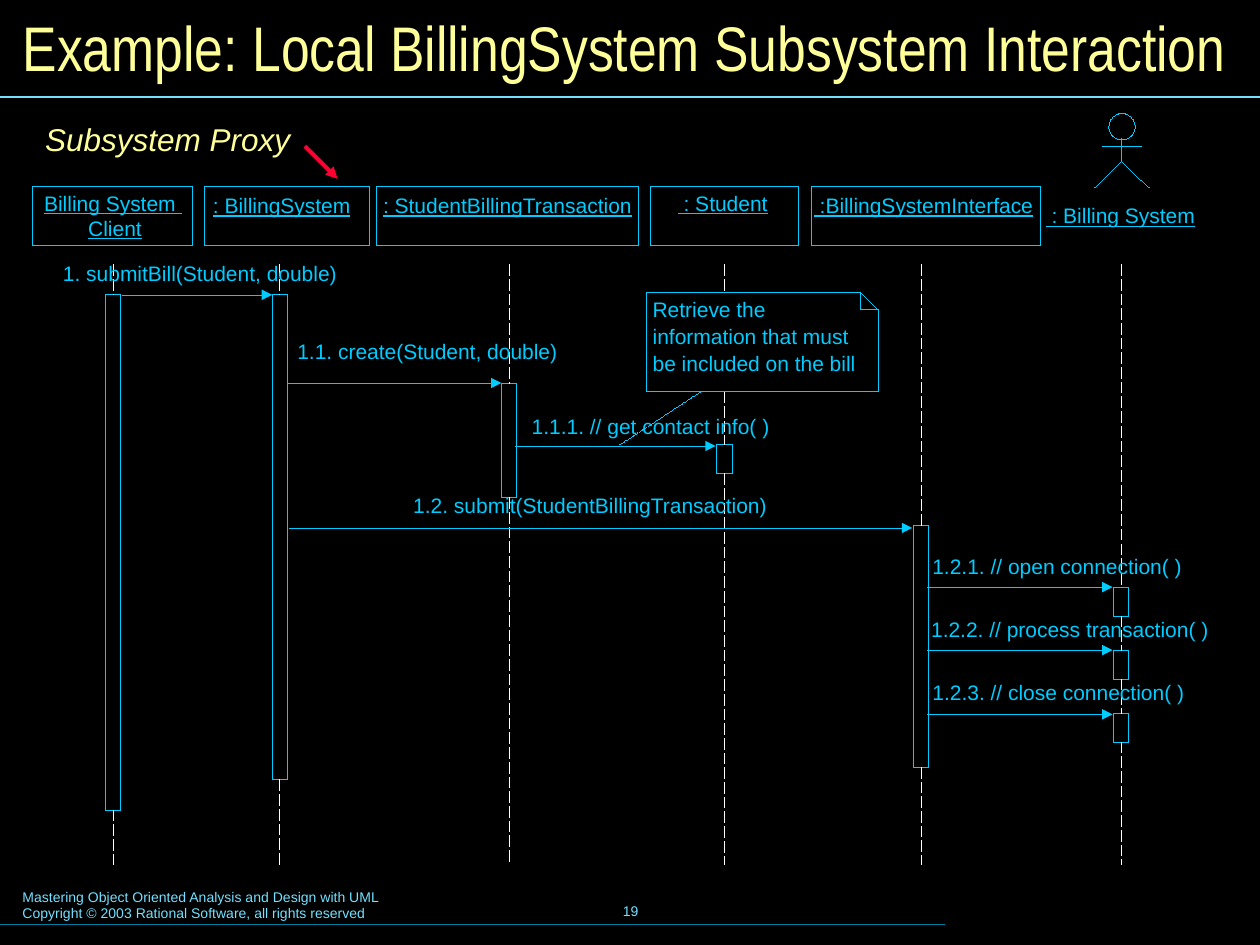
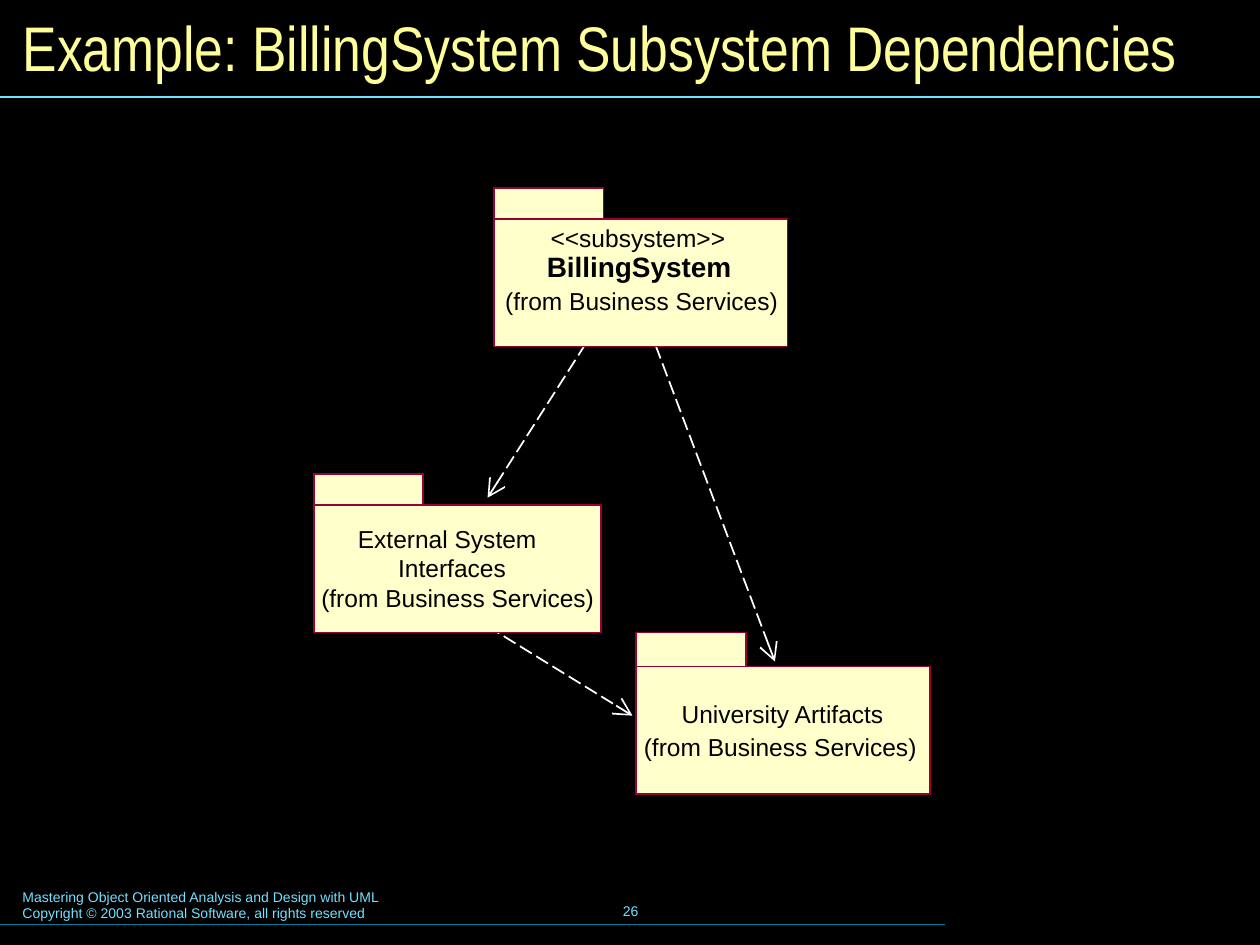
from typing import NamedTuple, Optional

from lxml import etree
from pptx import Presentation
from pptx.dml.color import RGBColor
from pptx.enum.dml import MSO_LINE
from pptx.enum.shapes import MSO_CONNECTOR, MSO_SHAPE
from pptx.enum.text import MSO_ANCHOR, MSO_AUTO_SIZE, PP_ALIGN
from pptx.oxml.ns import qn
from pptx.util import Inches, Pt

STRAIGHT = MSO_CONNECTOR.STRAIGHT
RECT, OVAL = MSO_SHAPE.RECTANGLE, MSO_SHAPE.OVAL
LONG_DASH, SHORT_DASH = MSO_LINE.LONG_DASH, MSO_LINE.SQUARE_DOT
MIDDLE = MSO_ANCHOR.MIDDLE
LEFT, CENTER = PP_ALIGN.LEFT, PP_ALIGN.CENTER
NO_FIT = MSO_AUTO_SIZE.NONE

BLACK, WHITE = "000000", "FFFFFF"
YELLOW, CREAM = "FFFF99", "FFFFCC"
CYAN, PALE_CYAN, TEAL = "00CCFF", "73E1FF", "007E9F"
RED, CRIMSON = "FF0033", "990033"
FONT, TITLE_FONT = "Arial", "Arial Narrow"
FOOTER = ("Mastering Object Oriented Analysis and Design with UML\n"
          "Copyright © 2003 Rational Software, all rights reserved")

HEAD_TOP, HEAD_HEIGHT = 1.48, 0.47
LIFE_TOP, LIFE_BOTTOM = 2.1, 6.86
BAR_WIDTH = 0.12
NOTE_TOP, NOTE_BOTTOM = 2.32, 3.11
LABEL_SLACK = 0.15  # spare width that keeps a label on one line


class Label(NamedTuple):
    text: str
    left: float
    top: float
    width: float
    size: float = 12
    bold: bool = False


class Head(NamedTuple):
    left: float
    width: float
    labels: list[Label]


class Lifeline(NamedTuple):
    x: float
    bars: list[tuple[float, float]]
    hidden: Optional[tuple[float, float]] = None


class Message(NamedTuple):
    start: float
    end: float
    y: float
    label: Label


class Package(NamedTuple):
    left: float
    top: float
    width: float
    tab_height: float
    labels: list[Label]


HEADS = [
    Head(0.26, 1.27, [Label("Billing System ", 0.35, 1.51, 1.09),
                      Label("Client", 0.7, 1.71, 0.43)]),
    Head(1.62, 1.31, [Label(": BillingSystem", 1.69, 1.53, 1.09)]),
    Head(2.99, 2.08, [Label(": StudentBillingTransaction", 3.04, 1.53, 1.98)]),
    Head(5.16, 1.18, [Label(" : Student", 5.38, 1.51, 0.71)]),
    Head(6.44, 1.82, [Label(" :BillingSystemInterface", 6.46, 1.53, 1.74)]),
]
ACTOR_LABEL = Label(" : Billing System", 8.3, 1.61, 1.19)

LIFELINES = [
    Lifeline(0.9, [(2.34, 4.09)]),
    Lifeline(2.22, [(2.34, 3.85)]),
    Lifeline(4.04, [(3.04, 0.91)]),
    Lifeline(5.75, [(3.53, 0.23)], (NOTE_TOP, NOTE_BOTTOM)),
    Lifeline(7.31, [(4.17, 1.92)]),
    Lifeline(8.9, [(4.66, 0.23), (5.16, 0.23), (5.66, 0.23)]),
]

MESSAGES = [
    Message(0.97, 2.16, 2.34, Label("1. submitBill(Student, double)", 0.5, 2.07, 2.18)),
    Message(2.28, 3.98, 3.04, Label("1.1. create(Student, double)", 2.36, 2.69, 2.07)),
    Message(4.09, 5.68, 3.54, Label("1.1.1. // get contact info( )", 4.22, 3.28, 1.89)),
    Message(2.29, 7.24, 4.19, Label("1.2. submit(StudentBillingTransaction)", 3.28, 3.91, 2.82)),
    Message(7.36, 8.83, 4.66, Label("1.2.1. // open connection( )", 7.4, 4.39, 1.98)),
    Message(7.36, 8.83, 5.16, Label("1.2.2. // process transaction( )", 7.39, 4.89, 2.21)),
    Message(7.36, 8.83, 5.67, Label("1.2.3. // close connection( )", 7.4, 5.39, 2)),
]

ORIGIN = "(from Business Services)"
PACKAGES = [
    Package(3.92, 1.74, 2.33, 0.25, [
        Label("<<subsystem>>", 4.37, 1.77, 1.39, 14),
        Label("BillingSystem", 4.34, 1.98, 1.47, 16, True),
        Label(ORIGIN, 4.01, 2.27, 2.17, 14)]),
    Package(2.49, 4.01, 2.28, 0.25, [
        Label("External System", 2.84, 4.16, 1.47, 14),
        Label("Interfaces", 3.16, 4.39, 0.86, 14),
        Label(ORIGIN, 2.55, 4.63, 2.17, 14)]),
    Package(5.05, 5.29, 2.33, 0.27, [
        Label("University Artifacts", 5.41, 5.55, 1.62, 14),
        Label(ORIGIN, 5.11, 5.81, 2.17, 14)]),
]
DEPENDENCIES = [((4.73, 2.6), (3.87, 3.95)),
                ((5.15, 2.6), (6.15, 5.25)),
                ((3.74, 4.89), (5.02, 5.68))]


def rgb(value: str) -> RGBColor:
    return RGBColor.from_string(value)


def style_font(p, size: float, color: str, name: str = FONT) -> None:
    p.font.size, p.font.name = Pt(size), name
    p.font.color.rgb = rgb(color)


def style_line(line, color: str, width: float):
    """Colour a line, write its width even when it is 0 (a hairline), return a:ln."""
    line.color.rgb = rgb(color)
    ln = line._get_or_add_ln()
    ln.set("w", str(int(Pt(width))))
    return ln


def add_line(slide, start, end, color: str, width: float = 0, dash=None,
             head: str = "", head_size: str = "med") -> None:
    s = slide.shapes.add_connector(STRAIGHT, *(Inches(v) for v in (*start, *end)))
    ln = style_line(s.line, color, width)
    if dash:
        s.line.dash_style = dash
    if head:
        etree.SubElement(ln, qn("a:tailEnd"), type=head, w=head_size, len=head_size)
    etree.SubElement(s._element.spPr, qn("a:effectLst"))


def outline(sp, color: str, width: float = 0, fill: str = "") -> None:
    sp.shadow.inherit = False
    style_line(sp.line, color, width)
    if fill:
        sp.fill.solid()
        sp.fill.fore_color.rgb = rgb(fill)
    else:
        sp.fill.background()


def add_box(slide, left, top, width, height, kind=RECT, color=CYAN, line=0, fill=""):
    sp = slide.shapes.add_shape(kind, *map(Inches, (left, top, width, height)))
    outline(sp, color, line, fill)


def add_path(slide, points, close: bool = False) -> None:
    start, *rest = [(Inches(x), Inches(y)) for x, y in points]
    builder = slide.shapes.build_freeform(*start)
    builder.add_line_segments(rest, close=close)
    outline(builder.convert_to_shape(), CYAN)


def add_text(slide, text, left, top, width, height, size, color, align=LEFT):
    """Add a text box with the usual insets and return its text frame."""
    tf = slide.shapes.add_textbox(*map(Inches, (left, top, width, height))).text_frame
    tf.word_wrap, tf.auto_size, tf.text = True, NO_FIT, text
    for p in tf.paragraphs:
        p.alignment = align
        style_font(p, size, color)
    return tf


def add_label(slide, label: Label, color: str = CYAN, underline: bool = False):
    """Add text without insets, in a box wide enough for its lines."""
    lines = label.text.count("\n") + 1
    tf = add_text(slide, label.text, label.left, label.top, label.width + LABEL_SLACK,
                  lines * label.size / 60, label.size, color)
    tf.margin_left = tf.margin_right = tf.margin_top = tf.margin_bottom = 0
    for p in tf.paragraphs:
        p.font.bold, p.font.underline = label.bold, underline
    return tf


def add_slide(prs, title: str, number: int):
    """Add a slide with the shared title, rules and footer."""
    slide = prs.slides.add_slide(prs.slide_layouts[5])
    add_text(slide, FOOTER, 0.08, 7, 5.1, 0.37, 8, PALE_CYAN)
    tf = add_text(slide, str(number), 3.42, 6.98, 3.17, 0.5, 8, PALE_CYAN, CENTER)
    tf.vertical_anchor = MIDDLE
    add_line(slide, (0, 7.34), (7.5, 7.34), TEAL, 0.75)
    add_line(slide, (0, 0.77), (10, 0.77), PALE_CYAN, 0.75)

    sp = slide.shapes.title
    sp.left, sp.top, sp.width, sp.height = map(Inches, (0.08, 0.08, 9.84, 0.58))
    tf = sp.text_frame
    tf.text, tf.vertical_anchor, tf.auto_size = title, MIDDLE, NO_FIT
    p = tf.paragraphs[0]
    p.alignment = LEFT
    style_font(p, 36, YELLOW, TITLE_FONT)
    return slide


def add_lifeline(slide, life: Lifeline) -> None:
    """Draw the bars, and dashes wherever neither a bar nor the note is."""
    for top, height in life.bars:
        add_box(slide, life.x - BAR_WIDTH / 2, top, BAR_WIDTH, height)
    gaps = [(top, top + height) for top, height in life.bars]
    if life.hidden:
        gaps.append(life.hidden)
    y = LIFE_TOP
    for gap_top, gap_bottom in sorted(gaps) + [(LIFE_BOTTOM, LIFE_BOTTOM)]:
        add_line(slide, (life.x, y), (life.x, gap_top), WHITE, dash=LONG_DASH)
        y = gap_bottom


def add_actor(slide) -> None:
    add_box(slide, 8.8, 0.9, 0.21, 0.21, OVAL)
    add_line(slide, (8.9, 1.1), (8.9, 1.28), CYAN)
    add_line(slide, (8.75, 1.16), (9.06, 1.16), CYAN)
    add_path(slide, [(8.69, 1.49), (8.9, 1.28), (9.12, 1.49)])
    add_label(slide, ACTOR_LABEL, underline=True)


def add_note(slide) -> None:
    left, right, fold = 5.13, 6.97, 0.14
    corner = [(right - fold, NOTE_TOP), (right, NOTE_TOP + fold)]
    add_path(slide, [(left, NOTE_TOP), *corner, (right, NOTE_BOTTOM),
                     (left, NOTE_BOTTOM)], close=True)
    add_path(slide, [corner[0], (right - fold, NOTE_TOP + fold), corner[1]])
    tf = add_label(slide, Label("Retrieve the\ninformation that must\nbe included on the bill",
                                5.18, 2.35, 1.61))
    for p in tf.paragraphs[1:]:
        p.space_before = Pt(1.2)
    add_line(slide, (5.56, NOTE_BOTTOM), (4.92, 3.53), CYAN, dash=SHORT_DASH)


def build_interaction(prs) -> None:
    slide = add_slide(prs, "Example: Local BillingSystem Subsystem Interaction", 19)
    for life in LIFELINES:
        add_lifeline(slide, life)
    for head in HEADS:
        add_box(slide, head.left, HEAD_TOP, head.width, HEAD_HEIGHT)
        for label in head.labels:
            add_label(slide, label, underline=True)
    add_actor(slide)
    for m in MESSAGES:
        add_line(slide, (m.start, m.y), (m.end, m.y), CYAN, head="triangle")
        add_label(slide, m.label)
    add_note(slide)
    tf = add_text(slide, "Subsystem Proxy", 0.26, 0.9, 2.6, 0.4, 18, YELLOW)
    tf.paragraphs[0].font.italic = True
    add_line(slide, (2.42, 1.16), (2.68, 1.42), RED, 2.25, head="triangle")


def build_dependencies(prs) -> None:
    slide = add_slide(prs, "Example: BillingSystem Subsystem Dependencies", 26)
    for start, end in DEPENDENCIES:
        add_line(slide, start, end, WHITE, 1, LONG_DASH, "arrow", "lg")
    for pkg in PACKAGES:
        add_box(slide, pkg.left, pkg.top, pkg.width, 1.01, RECT, CRIMSON, 1, CREAM)
        add_box(slide, pkg.left, pkg.top - pkg.tab_height, 0.87, pkg.tab_height,
                RECT, CRIMSON, 1, CREAM)
        for label in pkg.labels:
            add_label(slide, label, BLACK)


def main() -> None:
    prs = Presentation()
    prs.slide_width, prs.slide_height = Inches(10), Inches(7.5)
    background = prs.slide_master.background.fill
    background.solid()
    background.fore_color.rgb = rgb(BLACK)
    build_interaction(prs)
    build_dependencies(prs)
    prs.save("out.pptx")


if __name__ == "__main__":
    main()
